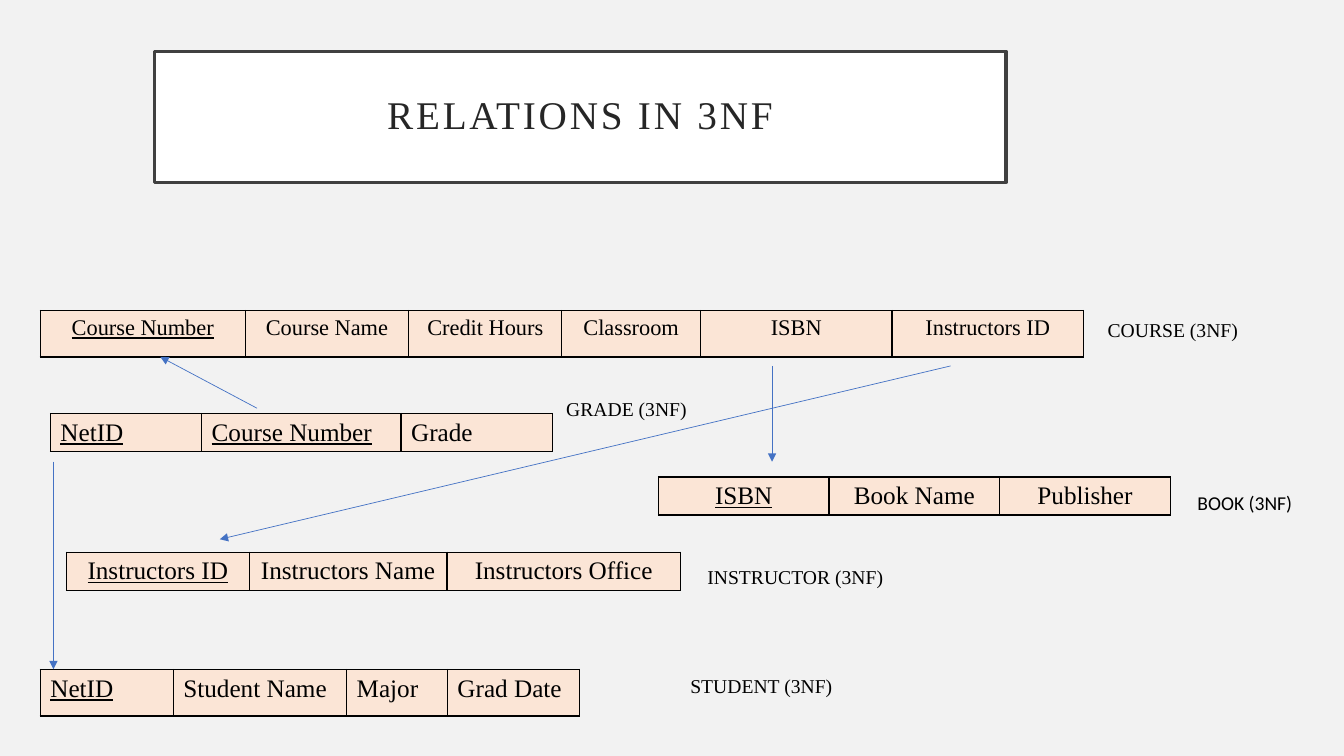
from dataclasses import dataclass

from lxml import etree
from pptx import Presentation
from pptx import util as u
from pptx.dml.color import RGBColor
from pptx.enum import shapes, text
from pptx.oxml import ns


@dataclass(frozen=True)
class Theme:
    back: str = "F2F2F2"
    panel: str = "FFFFFF"
    frame: str = "404040"
    heading: str = "262626"
    ink: str = "000000"
    cell: str = "FBE5D6"
    arrow: str = "4472C4"
    serif: str = "Times New Roman"
    sans: str = "Calibri"
    title_size: int = 28
    field_size: int = 18
    course_size: int = 16
    label_size: int = 14


class SchemaSlide:
    def __init__(self, prs, theme):
        self.theme = theme
        self.slide = prs.slides.add_slide(prs.slide_layouts[6])
        self.paint(self.slide.background.fill, theme.back)

    def paint(self, fill, color):
        fill.solid()
        fill.fore_color.rgb = RGBColor.from_string(color)

    def apply(self, target, **formats):
        for name, value in formats.items():
            setattr(target, name, value)

    def put_text(self, tf, words, size, color=None, font=None, align=None, underline=None):
        p = tf.paragraphs[0]
        p.alignment = align
        r = p.add_run()
        r.text = words
        self.apply(r.font, size=u.Pt(size), name=font or self.theme.serif, underline=underline)
        r.font.color.rgb = RGBColor.from_string(color or self.theme.ink)
        return p, r

    def title(self, words, left, top, width, height):
        t = self.theme
        sp = self.slide.shapes.add_shape(
            shapes.MSO_SHAPE.RECTANGLE, *map(u.Pt, (left, top, width, height)))
        sp.shadow.inherit = False
        self.paint(sp.fill, t.panel)
        self.paint(sp.line.fill, t.frame)
        sp.line.width = u.Pt(2.5)
        inset = u.Pt(14.4)
        tf = sp.text_frame
        self.apply(tf, word_wrap=True, vertical_anchor=text.MSO_ANCHOR.MIDDLE,
                   margin_left=inset, margin_right=inset, margin_top=inset, margin_bottom=inset)
        p, r = self.put_text(tf, words, t.title_size, t.heading, align=text.PP_ALIGN.CENTER)
        p.line_spacing = 0.9
        r.font._element.set("spc", "200")

    def label(self, words, left, top, width, font=None):
        sp = self.slide.shapes.add_textbox(*map(u.Pt, (left, top, width, 24.5)))
        tf = sp.text_frame
        self.apply(tf, word_wrap=True, auto_size=text.MSO_AUTO_SIZE.SHAPE_TO_FIT_TEXT)
        self.put_text(tf, words, self.theme.label_size, font=font)

    def border(self, cell):
        tcPr = cell._tc.get_or_add_tcPr()
        for side in ("a:lnL", "a:lnR", "a:lnT", "a:lnB"):
            ln = etree.SubElement(tcPr, ns.qn(side), w=str(u.Pt(1)))
            fill = etree.SubElement(ln, ns.qn("a:solidFill"))
            etree.SubElement(fill, ns.qn("a:srgbClr"), val=self.theme.ink)

    def relation(self, left, top, height, fields, keys=1, size=None, align=None):
        widths = [width for _, width in fields]
        frame = self.slide.shapes.add_table(
            1, len(fields), *map(u.Pt, (left, top, sum(widths), height)))
        table = frame.table
        self.apply(table, first_row=False, horz_banding=False)
        for i, (name, width) in enumerate(fields):
            table.columns[i].width = u.Pt(width)
            cell = table.cell(0, i)
            self.border(cell)
            self.paint(cell.fill, self.theme.cell)
            self.put_text(cell.text_frame, name, size or self.theme.field_size,
                          align=align, underline=i < keys)

    def arrow(self, *ends):
        line = self.slide.shapes.add_connector(shapes.MSO_CONNECTOR.STRAIGHT, *map(u.Pt, ends))
        self.paint(line.line.fill, self.theme.arrow)
        line.line.width = u.Pt(0.5)
        etree.SubElement(line.line._get_or_add_ln(), ns.qn("a:tailEnd"), type="triangle")
        etree.SubElement(line._element.spPr, ns.qn("a:effectLst"))


def main():
    prs = Presentation()
    prs.slide_width, prs.slide_height = u.Pt(960), u.Pt(540)
    theme = Theme()
    s = SchemaSlide(prs, theme)
    center = text.PP_ALIGN.CENTER

    s.title("RELATIONS IN 3NF", 110.2, 36.7, 608.4, 93.6)

    s.relation(36, 295.4, 27, [("NetID", 108), ("Course Number", 142.5), ("Grade", 108)], keys=2)
    s.relation(28.8, 478.2, 33.2, [("NetID", 95), ("Student Name", 123.8),
                                   ("Major", 72), ("Grad Date", 94.5)])
    s.relation(28.8, 221.8, 33.2, [("Course Number", 146.4), ("Course Name", 116.8),
                                   ("Credit Hours", 109.4), ("Classroom", 99),
                                   ("ISBN", 136.8), ("Instructors ID", 136.8)],
               size=theme.course_size, align=center)
    s.relation(47.5, 394.4, 27, [("Instructors ID", 130.5), ("Instructors Name", 141.3),
                                 ("Instructors Office", 166.9)], align=center)
    s.relation(470.3, 340.7, 27, [(name, 121.9) for name in ("ISBN", "Book Name", "Publisher")],
               align=center)

    for ends in ((679, 261.4, 157, 385.2), (38.2, 329.8, 38.2, 478.1),
                 (551.5, 261.4, 551.5, 329.8), (183.6, 291.6, 114.5, 254.9)):
        s.arrow(*ends)

    s.label("COURSE (3NF)", 784.1, 223.9, 188.6)
    s.label("BOOK (3NF)", 848.2, 347, 125.3, theme.sans)
    s.label("GRADE (3NF)", 397.4, 280.1, 151.2)
    s.label("INSTRUCTOR (3NF)", 498.2, 400.3, 203.8)
    s.label("STUDENT (3NF)", 486, 478.1, 174.2)

    prs.save("out.pptx")


if __name__ == "__main__":
    main()
